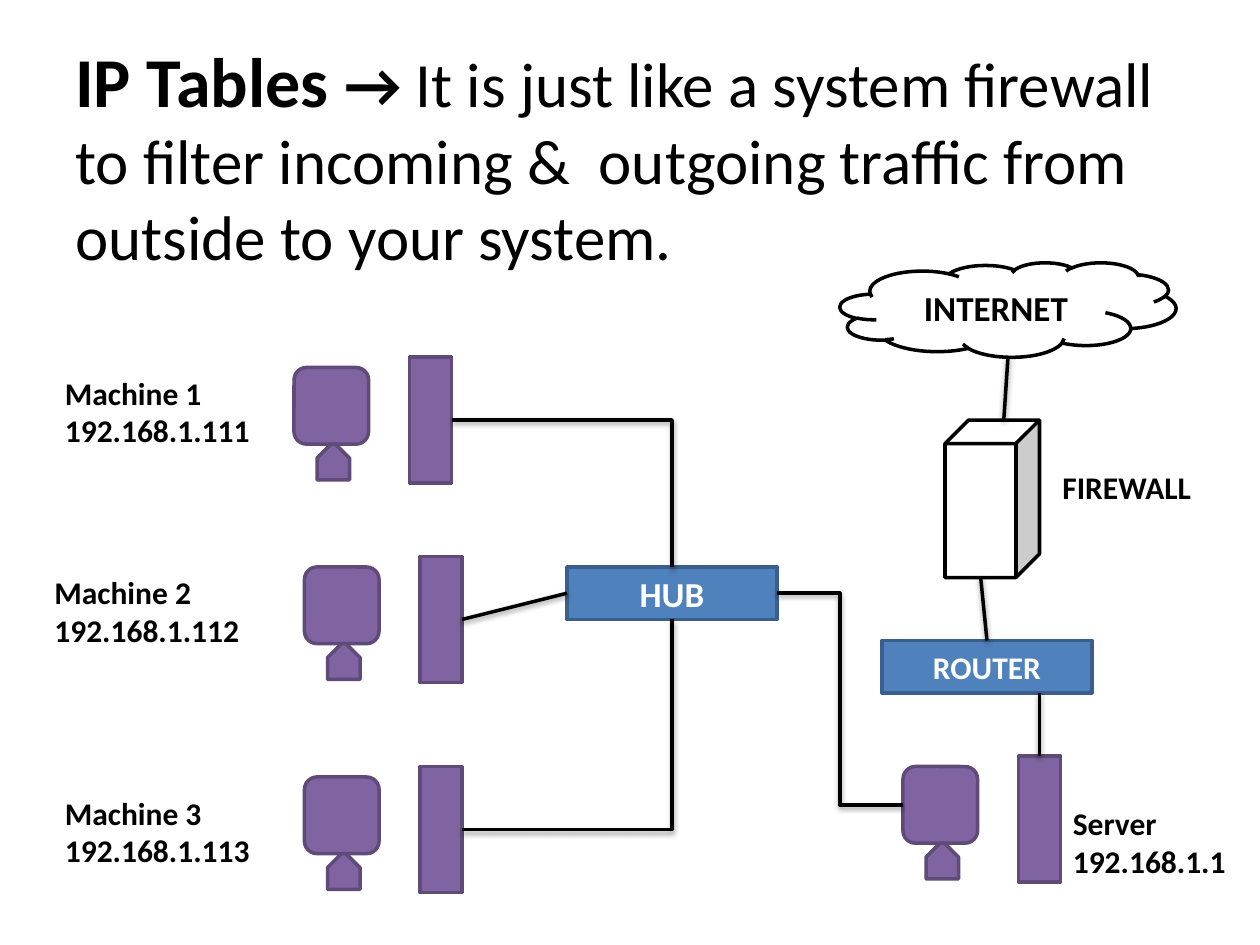
from dataclasses import dataclass

from lxml.etree import SubElement
from pptx import Presentation
from pptx.dml.color import RGBColor
from pptx.enum.shapes import MSO_CONNECTOR, MSO_SHAPE
from pptx.enum.text import MSO_ANCHOR, PP_ALIGN
from pptx.oxml.ns import qn
from pptx.util import Inches, Pt


@dataclass(frozen=True)
class Theme:
    font: str = "Calibri"
    ink: str = "000000"
    paper: str = "FFFFFF"
    computer: str = "8064A2"
    computer_edge: str = "5F4A78"
    device: str = "4F81BD"
    device_edge: str = "3A5F8C"
    title: int = 40
    body: int = 36
    large: int = 20
    label: int = 18
    stroke: int = 2


THEME = Theme()
COLUMNS, ROWS = 120, 90
CELL = Inches(10) // COLUMNS
TOP, LEFT, BOTTOM, RIGHT = range(4)  # connection sites of a rectangle


def cells(*counts):
    return [round(count * CELL) for count in counts]


def style_run(run, size, color, bold=True):
    run.font.name = THEME.font
    run.font.size = Pt(size)
    run.font.bold = bold
    run.font.color.rgb = RGBColor.from_string(color)


def add_title(slide, parts):
    """Write one paragraph from (text, size, bold) parts."""
    frame = slide.shapes.add_textbox(*cells(6, 3.6, 108, 22.4)).text_frame
    frame.word_wrap = True
    frame.vertical_anchor = MSO_ANCHOR.MIDDLE
    for text, size, bold in parts:
        run = frame.paragraphs[0].add_run()
        run.text = text
        style_run(run, size, THEME.ink, bold)


def add_label(slide, column, row, width, *lines):
    box = slide.shapes.add_textbox(*cells(column, row, width, 1 + 3.7 * len(lines)))
    frame = box.text_frame
    frame.word_wrap = True
    frame.text = "\n".join(lines)
    for paragraph in frame.paragraphs:
        style_run(paragraph.runs[0], THEME.label, THEME.ink)


def add_block(shapes, kind, area, fill, edge):
    block = shapes.add_shape(kind, *cells(*area))
    block.shadow.inherit = False
    block.fill.solid()
    block.fill.fore_color.rgb = RGBColor.from_string(fill)
    block.line.color.rgb = RGBColor.from_string(edge)
    block.line.width = Pt(THEME.stroke)
    return block


def caption(block, text, size, color):
    frame = block.text_frame
    frame.text = text
    frame.vertical_anchor = MSO_ANCHOR.MIDDLE
    frame.paragraphs[0].alignment = PP_ALIGN.CENTER
    style_run(frame.paragraphs[0].runs[0], size, color)


def add_device(slide, column, row, name, size):
    device = add_block(slide.shapes, MSO_SHAPE.RECTANGLE, (column, row, 20, 5),
                       THEME.device, THEME.device_edge)
    caption(device, name, size, THEME.paper)
    return device


def add_computer(slide, column, row):
    """Draw a tower with its monitor on the left; return tower and screen."""
    colors = THEME.computer, THEME.computer_edge
    tower = add_block(slide.shapes, MSO_SHAPE.RECTANGLE,
                      (column, row, 4, 12), *colors)
    monitor = slide.shapes.add_group_shape().shapes
    screen = add_block(monitor, MSO_SHAPE.ROUNDED_RECTANGLE,
                       (column - 11, row + 1, 7.1, 7.3), *colors)
    stand = add_block(monitor, MSO_SHAPE.SNIP_2_SAME_RECTANGLE,
                      (column - 8.8, row + 8.3, 3.1, 3.4), *colors)
    stand.adjustments[0] = 0.43
    return tower, screen


def add_cable(slide, kind=MSO_CONNECTOR.STRAIGHT, ends=(0, 0, 0, 0)):
    cable = slide.shapes.add_connector(kind, *cells(*ends))
    cable.line.color.rgb = RGBColor.from_string(THEME.ink)
    cable.line.width = Pt(THEME.stroke)
    effects = SubElement(cable._element.spPr, qn("a:effectLst"))
    shadow = SubElement(effects, qn("a:outerShdw"), blurRad="40000",
                        dist="20000", dir="5400000", rotWithShape="0")
    color = SubElement(shadow, qn("a:srgbClr"), val=THEME.ink)
    SubElement(color, qn("a:alpha"), val="38000")
    return cable


def link(slide, start, start_site, end, end_site, preset="line"):
    """Glue a cable to two connection sites, routed by the preset geometry."""
    straight = preset == "line"
    cable = add_cable(slide, MSO_CONNECTOR.STRAIGHT if straight else MSO_CONNECTOR.ELBOW)
    cable.begin_connect(start, start_site)
    cable.end_connect(end, end_site)
    cable._element.spPr.find(qn("a:prstGeom")).set("prst", preset)


def main():
    presentation = Presentation()
    presentation.slide_width, presentation.slide_height = cells(COLUMNS, ROWS)
    slide = presentation.slides.add_slide(presentation.slide_layouts[6])

    add_title(slide, [
        ("IP Tables ", THEME.title, True),
        ("→ ", THEME.body, True),
        ("It is just like a system firewall to filter incoming &  outgoing "
         "traffic from outside to your system.", THEME.body, False),
    ])

    machine_places = [(39, 34), (40, 53), (40, 73)]
    towers = [add_computer(slide, *place)[0] for place in machine_places]
    server_screen = add_computer(slide, 97, 72)[1]

    hub = add_device(slide, 54, 54, "HUB", THEME.large)
    add_device(slide, 84, 61, "ROUTER", THEME.label)
    internet = add_block(slide.shapes, MSO_SHAPE.CLOUD, (80, 25, 32, 9),
                         THEME.paper, THEME.ink)
    caption(internet, "INTERNET", THEME.large, THEME.ink)
    add_block(slide.shapes, MSO_SHAPE.CUBE, (90, 40, 9, 15), THEME.paper, THEME.ink)

    link(slide, towers[0], RIGHT, hub, TOP, "bentConnector2")
    link(slide, towers[1], RIGHT, hub, LEFT)
    link(slide, towers[2], RIGHT, hub, BOTTOM, "bentConnector2")
    link(slide, hub, RIGHT, server_screen, LEFT, "bentConnector3")

    router_to_firewall = (94, 61, 93.4, 55)
    server_to_router = (99, 72, 99, 66)
    firewall_to_internet = (95.6, 40, 96, 34)
    for ends in (router_to_firewall, server_to_router, firewall_to_internet):
        add_cable(slide, ends=ends)

    add_label(slide, 100, 44, 16, "FIREWALL")
    add_label(slide, 101, 76, 17, "Server", "192.168.1.1")
    machine_labels = [(5, 35), (4, 54), (5, 75)]
    for number, (column, row) in enumerate(machine_labels, start=1):
        add_label(slide, column, row, 22, f"Machine {number}", f"192.168.1.11{number}")

    presentation.save("out.pptx")


if __name__ == "__main__":
    main()
